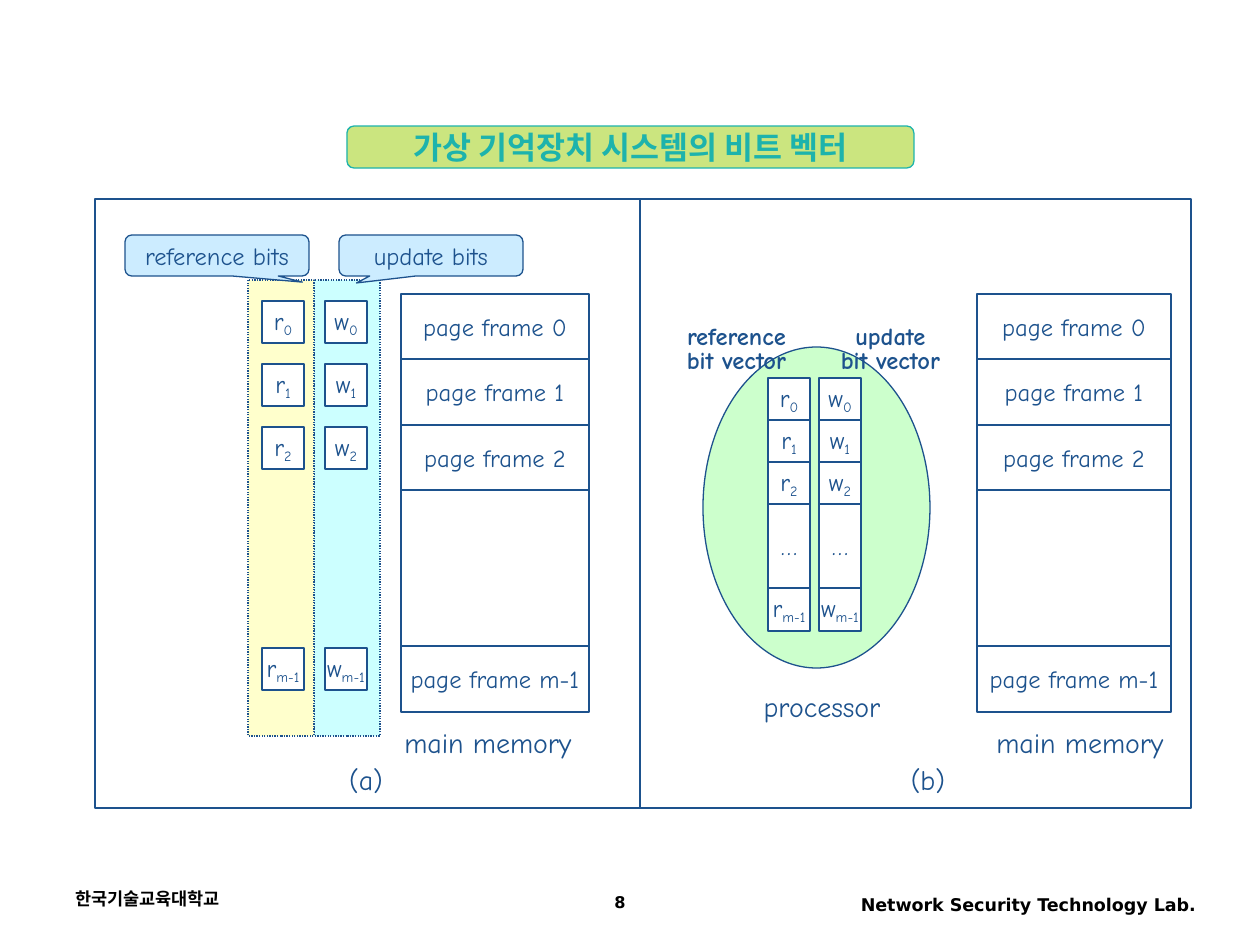
"""Build the slide on bit vectors of a virtual memory system."""
from itertools import pairwise

from lxml.etree import SubElement
from pptx import Presentation
from pptx.dml.color import RGBColor
from pptx.enum.dml import MSO_LINE
from pptx.enum.shapes import MSO_SHAPE
from pptx.enum.text import MSO_ANCHOR, MSO_AUTO_SIZE, PP_ALIGN
from pptx.oxml.ns import qn
from pptx.util import Pt

TITLE = "가상 기억장치 시스템의 비트 벡터"
PLATE = (347, 126, 567, 42)
FRAMES = ["page frame 0", "page frame 1", "page frame 2", "", "page frame m-1"]
MARKS = ["0", "1", "2", "m-1"]
PANELS = [(640, 199, 551, 609), (95, 199, 545, 609)]
BANDS = [(314, "cyan"), (248, "yellow")]
CALLS = [("update bits", 339, (-0.405, 0.67)), ("reference bits", 125, (0.464, 0.649))]
STORES = [(401, 188, 392), (977, 194, 984)]
FRAME_Y = [294, 359, 425, 490, 646, 712]
CELL_Y = [378, 420, 462, 504, 588, 631]
BIT_Y = [301, 364, 427, 648]
BITS = [("r", 262, 768), ("w", 325, 819)]
HEADS = [("reference\nbit vector", 674), ("update\nbit vector", 828)]
NOTES = [("processor", 747, 683, 150), ("(a)", 326, 756, 80), ("(b)", 888, 756, 80)]
FEET = [
    ("한국기술교육대학교", (63, 882, 294, 42), dict(size="foot", align="left")),
    ("Network Security Technology Lab.", (809, 888, 399, 40), dict(size="foot", align="right")),
    ("8", (473, 888, 294, 35), dict(size="page", gap=0.9)),
]
THEME = {
    "color": dict(ink="1D528D", black="000000", white="FFFFFF", cyan="CCFFFF", yellow="FFFFCC",
                  sky="CCECFF", mint="CCFFCC", lime="99CC00", teal="1DB3AC"),
    "size": dict(title=18, note=16, body=14, foot=10, page=9.2),
    "font": dict(body="Comic Neue", foot="DejaVu Sans", title="Arial Narrow"),
    "line": 0.75,
}
ALIGN = dict(left=PP_ALIGN.LEFT, center=PP_ALIGN.CENTER, right=PP_ALIGN.RIGHT)
SCALE = 914400 / 126


def emu(*px):
    return [round(n * SCALE) for n in px]


def tint(name):
    return RGBColor.from_string(THEME["color"][name])


def write(shape, text, size="body", font="body", color="ink", bold=False,
          align="center", gap=1.0, wrap=False, middle=False):
    """Write text; an underscore starts a subscript and a newline a paragraph."""
    frame = shape.text_frame
    frame.word_wrap = wrap
    frame.vertical_anchor = MSO_ANCHOR.MIDDLE if middle else MSO_ANCHOR.TOP
    for row, line in enumerate(text.split("\n")):
        para = frame.add_paragraph() if row else frame.paragraphs[0]
        para.alignment = ALIGN[align]
        para.line_spacing = 0.8 if row else gap
        para.space_before = Pt(0)
        for sub, part in enumerate(line.split("_")):
            run = para.add_run()
            run.text = part
            run.font.size = Pt(THEME["size"][size])
            run.font.name = THEME["font"][font]
            run.font.bold = bold
            run.font.color.rgb = tint(color)
            if sub:
                run.font._element.set("baseline", "-20000")


def draw(slide, box, text="", fill="white", line="ink", kind=MSO_SHAPE.RECTANGLE):
    shape = slide.shapes.add_shape(kind, *emu(*box))
    shape.shadow.inherit = False
    shape.fill.solid()
    shape.fill.fore_color.rgb = tint(fill)
    shape.line.color.rgb = tint(line)
    shape.line.width = Pt(THEME["line"])
    if text:
        write(shape, text, middle=True)
    return shape


def label(slide, box, text, grow=True, **form):
    shape = slide.shapes.add_textbox(*emu(*box))
    write(shape, text, wrap=not grow, **form)
    if grow:
        shape.text_frame.auto_size = MSO_AUTO_SIZE.SHAPE_TO_FIT_TEXT


def stack(slide, left, width, edges, texts):
    for (top, end), text in zip(pairwise(edges), texts):
        draw(slide, (left, top, width, end - top), text)


def head(slide):
    plate = draw(slide, PLATE, fill="lime", line="teal", kind=MSO_SHAPE.FLOWCHART_ALTERNATE_PROCESS)
    color = plate._element.spPr.find(qn("a:solidFill"))[0]
    SubElement(color, qn("a:alpha"), val="50000")
    title = slide.shapes.title
    title.left, title.top, title.width, title.height = emu(*PLATE)
    write(title, TITLE, size="title", font="title", color="teal", bold=True, wrap=True, middle=True)
    title.text_frame.auto_size = MSO_AUTO_SIZE.NONE
    plate._element.addnext(title._element)


def main():
    deck = Presentation()
    deck.slide_width, deck.slide_height = emu(1260, 945)
    slide = deck.slides.add_slide(deck.slide_layouts[5])
    head(slide)
    for text, box, form in FEET:
        label(slide, box, text, grow=False, font="foot", color="black", bold=True, **form)
    for box in PANELS:
        draw(slide, box)
    for left, fill in BANDS:
        band = draw(slide, (left, 280, 66, 456), fill=fill)
        band.line.dash_style = MSO_LINE.ROUND_DOT
    for left, width, note in STORES:
        stack(slide, left, width, FRAME_Y, FRAMES)
        label(slide, (note, 719, 192, 46), "main memory", size="note", align="left")
    for text, left, tip in CALLS:
        call = draw(slide, (left, 235, 184, 41), text, "sky",
                    kind=MSO_SHAPE.ROUNDED_RECTANGULAR_CALLOUT)
        call.adjustments[0], call.adjustments[1] = tip
    draw(slide, (703, 347, 227, 321), fill="mint", kind=MSO_SHAPE.OVAL)
    for name, left, cell in BITS:
        names = [f"{name}_{mark}" for mark in MARKS]
        stack(slide, cell, 42, CELL_Y, names[:3] + ["…"] + names[3:])
        for top, text in zip(BIT_Y, names):
            draw(slide, (left, top, 42, 42), text)
    for text, left in HEADS:
        label(slide, (left, 315, 125, 66), text, bold=True)
    for text, left, top, width in NOTES:
        label(slide, (left, top, width, 46), text, size="note")
    deck.save("out.pptx")


if __name__ == "__main__":
    main()
